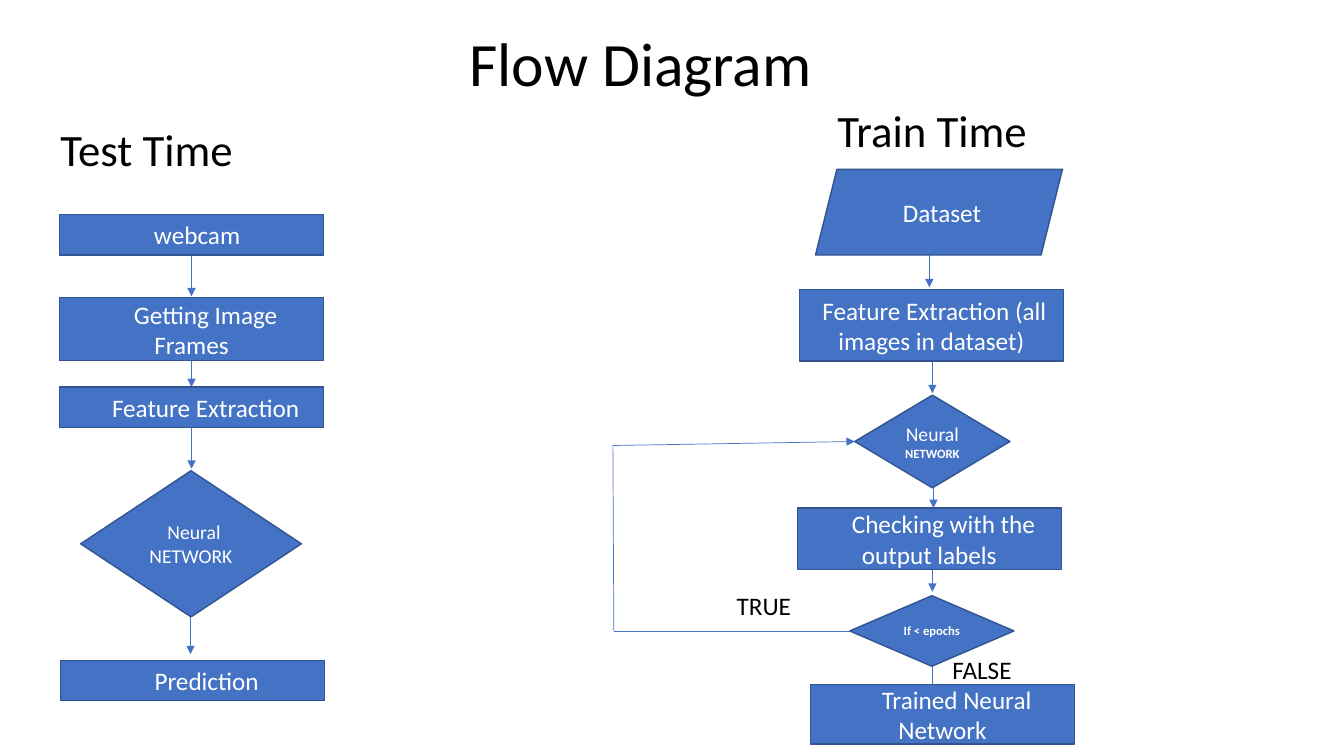
from dataclasses import dataclass
from itertools import pairwise

from lxml import etree
from pptx import Presentation
from pptx.dml.color import RGBColor
from pptx.enum.shapes import MSO_CONNECTOR, MSO_SHAPE
from pptx.enum.text import MSO_ANCHOR, PP_ALIGN
from pptx.oxml.ns import qn
from pptx.util import Inches, Pt

RECT = MSO_SHAPE.RECTANGLE
DECISION = MSO_SHAPE.FLOWCHART_DECISION
DATA = MSO_SHAPE.PARALLELOGRAM
STRAIGHT = MSO_CONNECTOR.STRAIGHT
MIDDLE, TOP = MSO_ANCHOR.MIDDLE, MSO_ANCHOR.TOP
CENTER = PP_ALIGN.CENTER

CELL = 0.1  # inches per grid column and row
COLS, ROWS = 133.33, 75
STEP_W = 26.2
ARROW_H = 4.1
HEADING_H = 14.5
LABEL_W, LABEL_H = 8.3, 4


@dataclass(frozen=True)
class Theme:
    font: str = "Calibri"
    fill: RGBColor = RGBColor(0x44, 0x72, 0xC4)
    edge: RGBColor = RGBColor(0x32, 0x54, 0x91)
    ink: RGBColor = RGBColor(0, 0, 0)
    light: RGBColor = RGBColor(0xFF, 0xFF, 0xFF)
    title: int = 44
    heading: int = 32
    body: int = 18
    decision: int = 14
    small: int = 9


THEME = Theme()


def grid(*cells):
    return [Inches(c * CELL) for c in cells]


def style(font, size, color, bold=None):
    font.name, font.size, font.bold = THEME.font, Pt(size), bold
    font.color.rgb = color


def add_text(s, box, text, size, anchor=TOP, spacing=None):
    tf = s.shapes.add_textbox(*grid(*box)).text_frame
    tf.word_wrap = True
    tf.vertical_anchor = anchor
    p = tf.paragraphs[0]
    p.text = text
    p.line_spacing = spacing
    style(p.font, size, THEME.ink)


def add_heading(s, x, y, text, size, height=HEADING_H):
    """Text from x to the slide's right edge, centred on its height."""
    add_text(s, (x, y, COLS - x, height), text, size, MIDDLE, 0.9)


def add_node(s, kind, box, runs, indent=0):
    """Flowchart node; runs are (text, size, bold), indent shifts line one."""
    sp = s.shapes.add_shape(kind, *grid(*box))
    sp.shadow.inherit = False
    sp.fill.solid()
    sp.fill.fore_color.rgb = THEME.fill
    sp.line.color.rgb = THEME.edge
    sp.line.width = Pt(1)
    tf = sp.text_frame
    tf.word_wrap = True
    tf.vertical_anchor = MIDDLE
    p = tf.paragraphs[0]
    p.alignment = CENTER
    pPr = p._p.get_or_add_pPr()
    pPr.set("marL", "0")
    pPr.set("indent", str(Inches(indent * CELL)))
    for text, size, bold in runs:
        r = p.add_run()
        r.text = text
        style(r.font, size, THEME.light, bold)


def add_step(s, x, y, h, text, indent=2.8):
    add_node(s, RECT, (x, y, STEP_W, h), [(text, THEME.body, None)], indent)


def add_link(s, start, end, arrow=True):
    c = s.shapes.add_connector(STRAIGHT, *grid(*start, *end))
    c.line.color.rgb = THEME.fill
    c.line.width = Pt(0.5)
    if arrow:
        etree.SubElement(c.line._get_or_add_ln(), qn("a:tailEnd"), type="triangle")
    etree.SubElement(c._element.spPr, qn("a:effectLst"))


def add_down_arrows(s, x, y, starts):
    for dx, dy in starts:
        add_link(s, (x + dx, y + dy), (x + dx, y + dy + ARROW_H))


def add_test_flow(s, x, y):
    add_heading(s, x, y, "Test Time", THEME.heading)
    add_down_arrows(s, x, y, [(14, 17.5), (14, 26.5), (14, 34.6), (13.9, 53)])
    add_step(s, x + 0.9, y + 13.5, 4, "webcam", 1.1)
    add_step(s, x + 0.9, y + 21.7, 6.3, "Getting Image Frames")
    add_step(s, x + 0.9, y + 30.6, 4, "Feature Extraction")
    add_node(s, DECISION, (x + 3, y + 38.9, 21.9, 14.5),
             [("Neural NETWORK", THEME.decision, None)], 0.6)
    add_step(s, x + 1, y + 57.7, 4, "Prediction")


def add_train_flow(s, x, y):
    add_heading(s, x + 21.3, y, "Train Time", THEME.heading)
    add_down_arrows(s, x, y, [(31.4, 18.5), (31.7, 29), (31.8, 40.4),
                              (31.7, 48.7), (31.7, 59.1)])
    loop = [(28, 56.7), (0.1, 56.7), (0, 38.3), (24, 37.9)]
    corners = [(x + dx, y + dy) for dx, dy in loop]
    for start, end in pairwise(corners):
        add_link(s, start, end, arrow=end == corners[-1])
    add_node(s, DATA, (x + 20.1, y + 10.9, 24.5, 8.5),
             [("Dataset", THEME.body, None)], 0.6)
    add_step(s, x + 18.5, y + 22.8, 7.1,
             "Feature Extraction (all images in dataset)", 0.6)
    add_node(s, DECISION, (x + 24, y + 33.3, 15.4, 9.2),
             [("Neural ", THEME.decision, None), ("NETWORK", THEME.small, True)])
    add_step(s, x + 18.3, y + 44.5, 6.1, "Checking with the output labels")
    add_node(s, DECISION, (x + 23.5, y + 53.2, 16.3, 7),
             [("If < epochs", THEME.small, True)])
    add_step(s, x + 19.6, y + 62, 5.9, "Trained Neural Network")
    for text, dx, dy in [("TRUE", 11.3, 52.2), ("FALSE", 32.7, 58.5)]:
        add_text(s, (x + dx, y + dy, LABEL_W, LABEL_H), text, THEME.body)


def main():
    prs = Presentation()
    prs.slide_width, prs.slide_height = grid(COLS, ROWS)
    s = prs.slides.add_slide(prs.slide_layouts[6])
    add_heading(s, 45.6, 0, "Flow Diagram", THEME.title, 13.3)
    add_test_flow(s, 5, 7.8)
    add_train_flow(s, 60.8, 5.9)
    prs.save("out.pptx")


if __name__ == "__main__":
    main()
